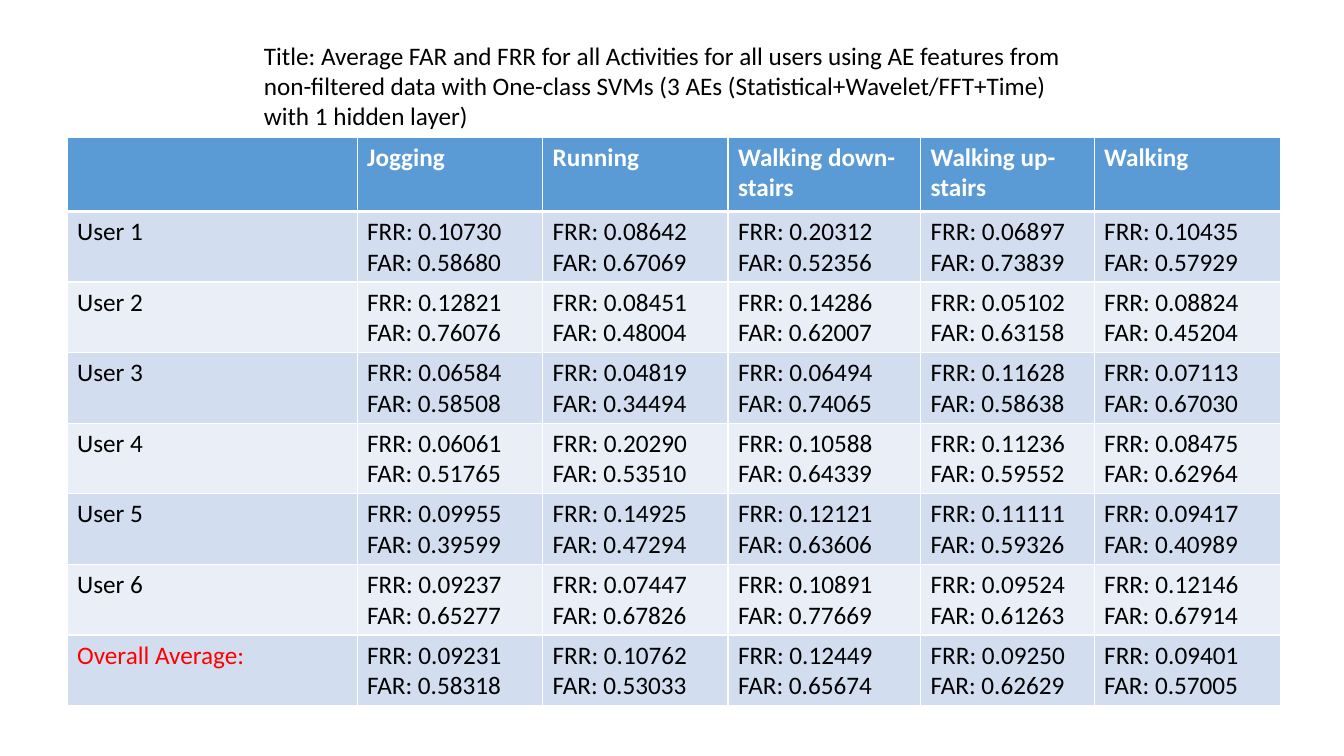
from lxml import etree
from pptx import Presentation
from pptx.dml.color import RGBColor
from pptx.enum.text import MSO_AUTO_SIZE
from pptx.oxml.ns import qn
from pptx.util import Pt

FIT_SHAPE = MSO_AUTO_SIZE.SHAPE_TO_FIT_TEXT
BLACK, WHITE, RED = "000000", "FFFFFF", "FF0000"
HEADER_BLUE, BAND_DARK, BAND_LIGHT = "5B9BD5", "D2DEEF", "EAEFF7"


def rgb(hex_color):
    return RGBColor.from_string(hex_color)


def write(frame, text, color, bold=False):
    frame.text = text
    for paragraph in frame.paragraphs:
        for run in paragraph.runs:
            run.font.name = "Calibri"
            run.font.size = Pt(18)
            run.font.bold = bold
            run.font.color.rgb = rgb(color)


prs = Presentation()
prs.slide_width, prs.slide_height = Pt(960), Pt(540)
slide = prs.slides.add_slide(prs.slide_layouts[6])

# Title
title = slide.shapes.add_textbox(Pt(181.4), Pt(25.2), Pt(585.4), Pt(72.7)).text_frame
title.word_wrap = True
title.auto_size = FIT_SHAPE
write(title, "Title: Average FAR and FRR for all Activities for all users using AE features "
      "from non-filtered data with One-class SVMs (3 AEs (Statistical+Wavelet/FFT+Time) "
      "with 1 hidden layer)", BLACK)

# Error rates: one (FRR, FAR) pair per activity
activities = ["Jogging", "Running", "Walking down-stairs", "Walking up-stairs", "Walking"]
rates = {
    "User 1": [("0.10730", "0.58680"), ("0.08642", "0.67069"), ("0.20312", "0.52356"),
               ("0.06897", "0.73839"), ("0.10435", "0.57929")],
    "User 2": [("0.12821", "0.76076"), ("0.08451", "0.48004"), ("0.14286", "0.62007"),
               ("0.05102", "0.63158"), ("0.08824", "0.45204")],
    "User 3": [("0.06584", "0.58508"), ("0.04819", "0.34494"), ("0.06494", "0.74065"),
               ("0.11628", "0.58638"), ("0.07113", "0.67030")],
    "User 4": [("0.06061", "0.51765"), ("0.20290", "0.53510"), ("0.10588", "0.64339"),
               ("0.11236", "0.59552"), ("0.08475", "0.62964")],
    "User 5": [("0.09955", "0.39599"), ("0.14925", "0.47294"), ("0.12121", "0.63606"),
               ("0.11111", "0.59326"), ("0.09417", "0.40989")],
    "User 6": [("0.09237", "0.65277"), ("0.07447", "0.67826"), ("0.10891", "0.77669"),
               ("0.09524", "0.61263"), ("0.12146", "0.67914")],
    "Overall Average:": [("0.09231", "0.58318"), ("0.10762", "0.53033"), ("0.12449", "0.65674"),
                         ("0.09250", "0.62629"), ("0.09401", "0.57005")],
}
lines = [["", *activities]]
for user, pairs in rates.items():
    lines.append([user] + [f"FRR: {frr}\nFAR: {far}" for frr, far in pairs])

# Table grid
column_widths = [207.2, 132.5, 132.5, 137.5, 124, 133.2]
header_height, user_height = 53, 50
rate_table = slide.shapes.add_table(
    len(lines), len(column_widths), Pt(47.9), Pt(98), Pt(sum(column_widths)),
    Pt(header_height + user_height * len(rates))).table
for column, width in zip(rate_table.columns, column_widths):
    column.width = Pt(width)
for row in rate_table.rows:
    row.height = Pt(user_height)
rate_table.rows[0].height = Pt(header_height)

# Cell text, borders and banding
for r, line in enumerate(lines):
    header = r == 0
    band = HEADER_BLUE if header else BAND_DARK if r % 2 else BAND_LIGHT
    for c, text in enumerate(line):
        cell = rate_table.cell(r, c)
        average_label = c == 0 and r == len(lines) - 1
        color = WHITE if header else RED if average_label else BLACK
        write(cell.text_frame, text, color, bold=header)

        properties = cell._tc.get_or_add_tcPr()
        edges = {"a:lnL": 1, "a:lnR": 1, "a:lnT": 3 if r == 1 else 1, "a:lnB": 3 if header else 1}
        for edge, weight in edges.items():
            border = etree.SubElement(properties, qn(edge), w=str(Pt(weight)))
            fill = etree.SubElement(border, qn("a:solidFill"))
            etree.SubElement(fill, qn("a:srgbClr"), val=WHITE)
        cell.fill.solid()
        cell.fill.fore_color.rgb = rgb(band)

prs.save("out.pptx")
